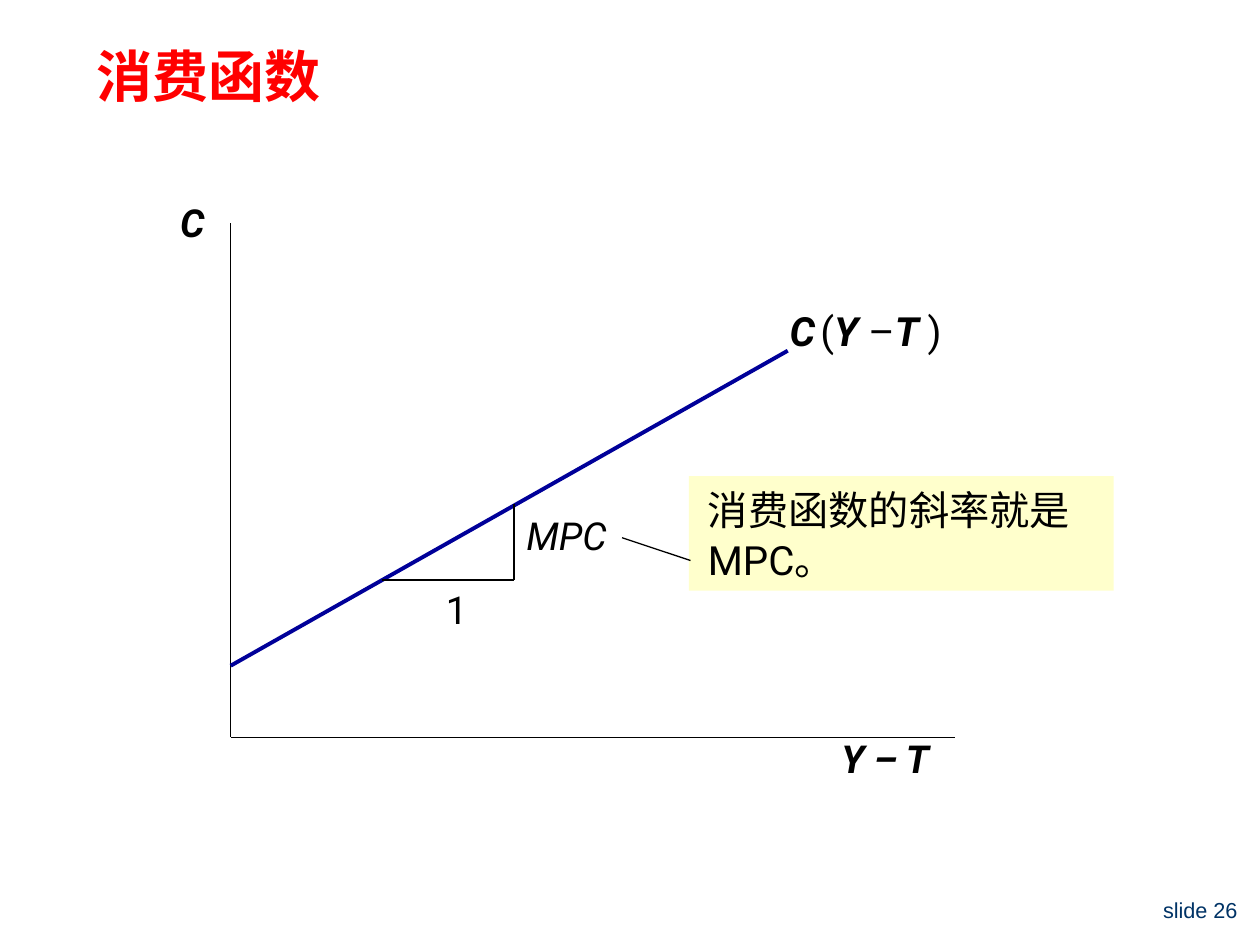
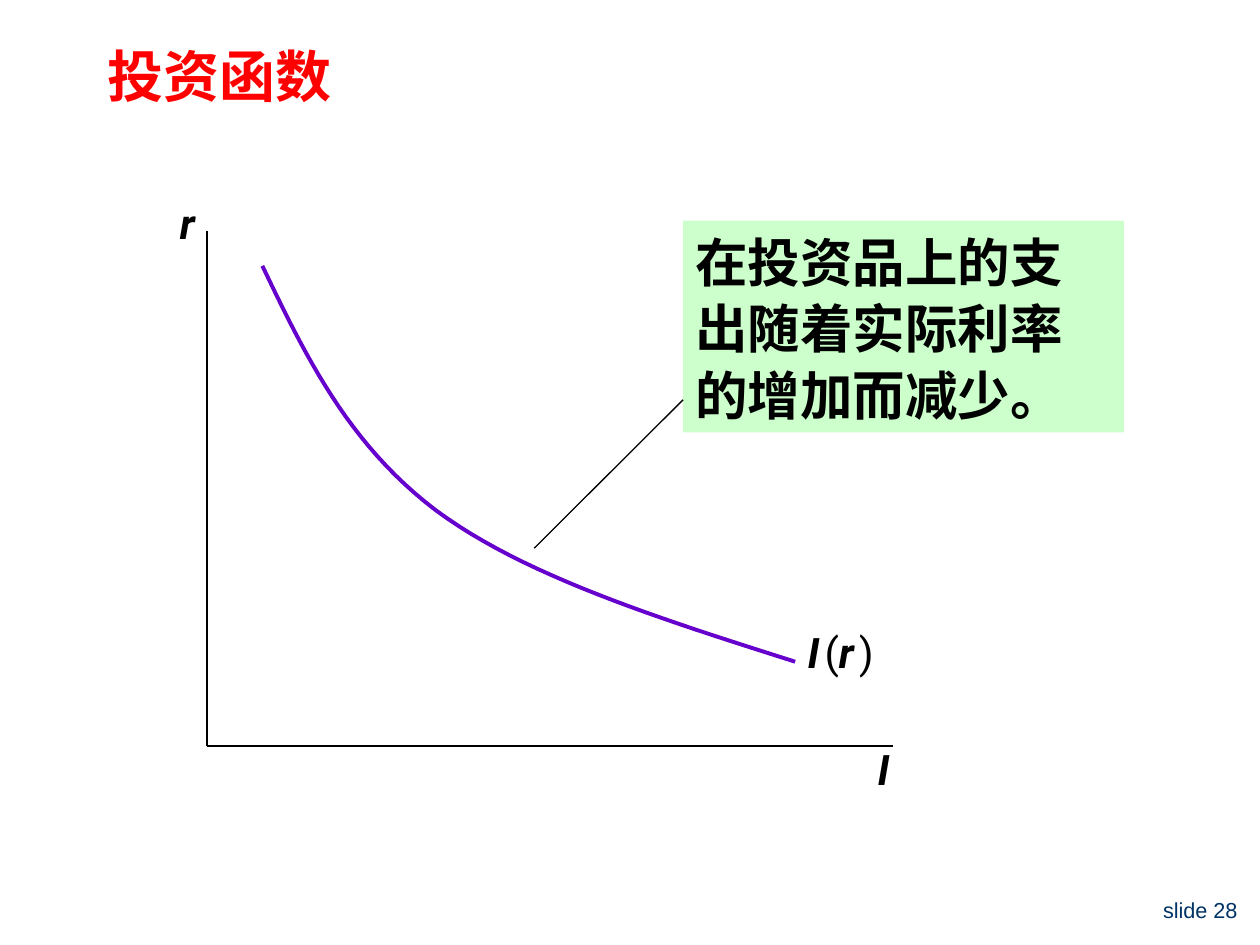
from collections import namedtuple

from lxml import etree
from pptx import Presentation
from pptx import util as u
from pptx.dml.color import RGBColor
from pptx.enum import shapes, text
from pptx.oxml.ns import qn

COLORS = {
    "title": "FF0000", "footer": "003366", "ink": "000000",
    "consumption": "000099", "investment": "6600CC",
    "yellow": "FFFFCC", "green": "CCFFCC",
}
LATIN, CJK, FOOTER_FONT = "Roboto", "Noto Sans CJK SC", "Arial"
LEFT, CENTER, RIGHT = text.PP_ALIGN.LEFT, text.PP_ALIGN.CENTER, text.PP_ALIGN.RIGHT
TOP, MIDDLE = text.MSO_ANCHOR.TOP, text.MSO_ANCHOR.MIDDLE
BOLD_ITALIC = dict(bold=True, italic=True)
SMALL_GAP = (" ", dict(size=12, **BOLD_ITALIC))

# All boxes and points are in centimetres
Box = namedtuple("Box", "x y w h")


def within(box, x, y, w, h):
    return Box(box.x + x, box.y + y, w, h)


def rgb(name):
    return RGBColor.from_string(COLORS[name])


def lengths(box):
    return [u.Cm(v) for v in box]


def write(sp, runs, size=22, font=LATIN, color="ink", bold=False, italic=False,
          align=LEFT, anchor=TOP, spacing=1.0, side=0.25):
    """Fill a shape with a string, or with (string, format overrides) runs."""
    tf = sp.text_frame
    tf.word_wrap = True
    tf.auto_size = text.MSO_AUTO_SIZE.NONE
    tf.vertical_anchor = anchor
    tf.margin_left = tf.margin_right = u.Cm(side)
    tf.margin_top = tf.margin_bottom = u.Cm(0.13)
    p = tf.paragraphs[0]
    p.alignment, p.line_spacing = align, spacing
    for words, extra in [(runs, {})] if isinstance(runs, str) else runs:
        fmt = {"size": size, "bold": bold, "italic": italic, **extra}
        r = p.add_run()
        r.text = words
        r.font.name = font
        r.font.size = u.Pt(fmt["size"])
        r.font.bold, r.font.italic = fmt["bold"], fmt["italic"]
        r.font.color.rgb = rgb(color)
        ea = etree.SubElement(r.font._element, qn("a:ea"))
        ea.set("typeface", CJK)


def label(s, box, runs, **fmt):
    write(s.shapes.add_textbox(*lengths(box)), runs, **fmt)


def line(s, box, start, end, color="ink", width=0.75):
    """Straight line between two points given relative to the box."""
    points = [u.Cm(v) for x, y in (start, end) for v in (box.x + x, box.y + y)]
    sp = s.shapes.add_connector(shapes.MSO_CONNECTOR.STRAIGHT, *points)
    sp.line.color.rgb = rgb(color)
    sp.line.width = u.Pt(width)
    etree.SubElement(sp._element.spPr, qn("a:effectLst"))


def curve(s, box, beziers, color, width=2.25, steps=24):
    """Smooth open path through joined cubic segments."""
    points = []
    for a, b, c, d in beziers:
        for i in range(steps + 1):
            t = i / steps
            k = ((1 - t) ** 3, 3 * t * (1 - t) ** 2, 3 * t * t * (1 - t), t ** 3)
            x, y = (sum(f * q[n] for f, q in zip(k, (a, b, c, d))) for n in (0, 1))
            points.append((u.Cm(box.x + x), u.Cm(box.y + y)))
    path_builder = s.shapes.build_freeform(*points[0])
    path_builder.add_line_segments(points[1:], close=False)
    sp = path_builder.convert_to_shape()
    sp.shadow.inherit = False
    sp.fill.background()
    sp.line.color.rgb = rgb(color)
    sp.line.width = u.Pt(width)


def axes(s, box, y_name, y_box, x_name, x_box, **fmt):
    line(s, box, (0, 0), (0, box.h))
    line(s, box, (0, box.h), (box.w, box.h))
    for name, at in ((y_name, y_box), (x_name, x_box)):
        label(s, within(box, *at), name, **BOLD_ITALIC, **fmt)


def note(s, box, words, fill, start, end, **fmt):
    """Coloured comment box with a leader line."""
    sp = s.shapes.add_shape(shapes.MSO_SHAPE.RECTANGLE, *lengths(box))
    sp.shadow.inherit = False
    sp.fill.solid()
    sp.fill.fore_color.rgb = rgb(fill)
    sp.line.fill.background()
    write(sp, words, spacing=1.05, **fmt)
    line(s, box, start, end)


def base_slide(prs, title, title_box, number):
    s = prs.slides.add_slide(prs.slide_layouts[5])
    sp = s.shapes.title
    sp.left, sp.top, sp.width, sp.height = lengths(title_box)
    write(sp, title, size=32, font=CJK, color="title", bold=True)
    label(s, Box(22.02, 17.98, 3.18, 0.84), f"slide {number}", size=12.4,
          font=FOOTER_FONT, color="footer", align=RIGHT, anchor=MIDDLE, spacing=0.8)
    return s


def consumption_slide(prs):
    s = base_slide(prs, "消费函数", Box(1.7, 0.71, 22.83, 2.11), 26)
    plot = Box(4.65, 4.5, 14.6, 10.36)
    axes(s, plot, "C", (-1.27, -0.61, 1.27, 1.19),
         "Y – T", (12.06, plot.h - 0.18, 2.97, 1.19))

    # Consumption line
    line(s, plot, (0, 8.92), (11.23, 2.57), "consumption", 2.25)
    label(s, within(plot, 11.02, 1.55, 3.81, 1.24),
          [("C", BOLD_ITALIC), SMALL_GAP, ("(", {}), ("Y ", BOLD_ITALIC),
           ("–", {}), ("T ", BOLD_ITALIC), (")", {})], size=23)

    # Slope triangle
    foot, corner, top = (3.05, 7.19), (5.71, 7.19), (5.71, 5.66)
    line(s, plot, foot, corner)
    line(s, plot, corner, top)
    label(s, within(plot, 4.09, 7.19, 1.02, 1.19), "1")
    label(s, within(plot, 5.71, 5.69, 2.97, 1.19), "MPC", italic=True)

    note(s, Box(13.89, 9.6, 8.56, 2.31), "消费函数的斜率就是 MPC。", "yellow",
         (0.03, 1.7), (-1.35, 1.24), size=23, side=0.38)


def investment_slide(prs):
    s = base_slide(prs, "投资函数", Box(1.91, 0.71, 21.56, 2.06), 28)
    plot = Box(4.17, 4.65, 13.84, 10.39)
    axes(s, plot, "r", (-0.99, -0.79, 1.19, 1.27),
         "I", (13.05, plot.h - 0.18, 1.19, 1.27), size=24, align=CENTER)

    # Investment curve
    bend = (4.62, 5.64)
    curve(s, plot, [((1.12, 0.71), (1.98, 2.51), (2.84, 4.29), bend),
                    (bend, (6.4, 6.96), (9.12, 7.82), (11.86, 8.69))], "investment")
    label(s, within(plot, 11.86, 7.85, 2.18, 1.27),
          [("I", BOLD_ITALIC), SMALL_GAP, ("(", {}), ("r", BOLD_ITALIC),
           SMALL_GAP, (")", {})], size=24)

    note(s, Box(13.77, 4.45, 8.89, 4.27), "在投资品上的支出随着实际利率的增加而减少。",
         "green", (0, 3.61), (-3, 6.6), size=30, font=CJK, bold=True)


def main():
    prs = Presentation()
    prs.slide_width, prs.slide_height = u.Cm(25.4), u.Cm(19.05)
    consumption_slide(prs)
    investment_slide(prs)
    prs.save("out.pptx")


if __name__ == "__main__":
    main()
